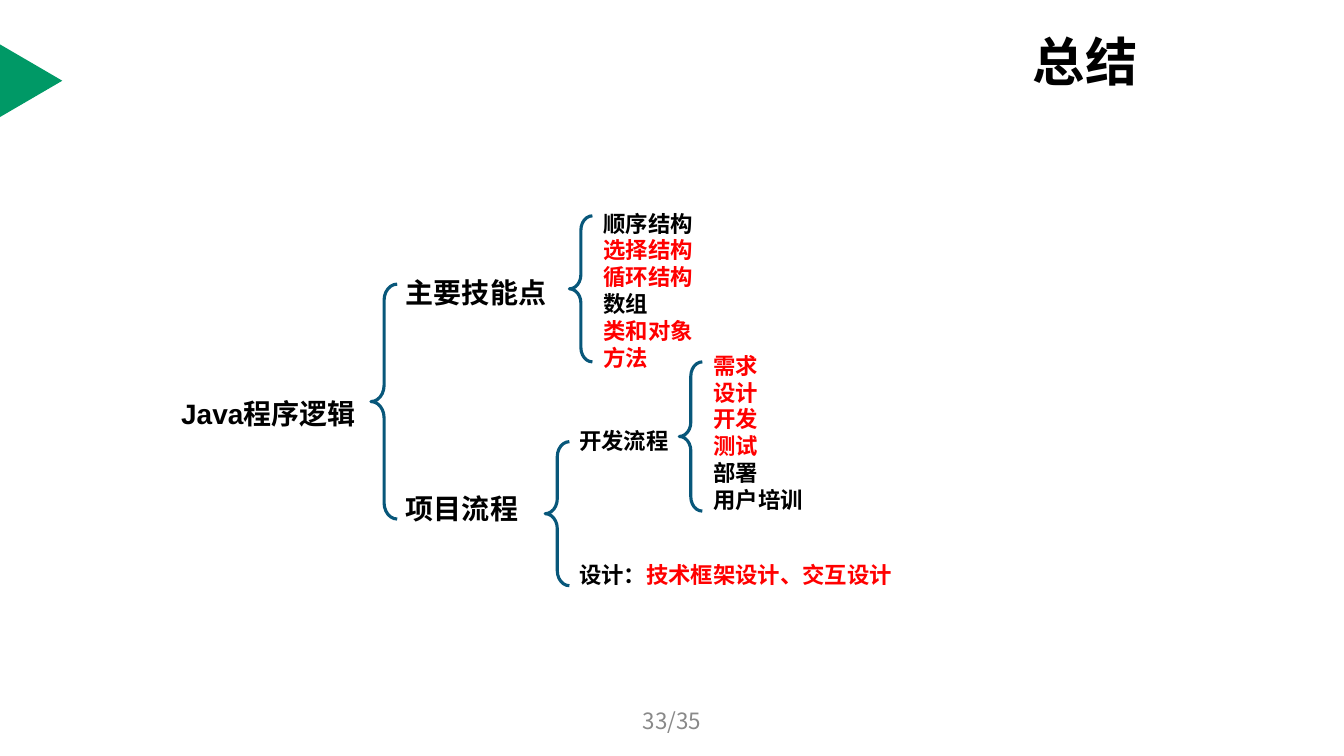
from lxml import etree
from pptx import Presentation
from pptx.dml.color import RGBColor
from pptx.enum.shapes import MSO_SHAPE
from pptx.enum.text import MSO_ANCHOR, MSO_AUTO_SIZE, PP_ALIGN
from pptx.oxml.ns import qn
from pptx.util import Cm, Pt

BLACK = RGBColor(0x00, 0x00, 0x00)
RED = RGBColor(0xFF, 0x00, 0x00)
GREEN = RGBColor(0x00, 0x99, 0x66)
BLUE = RGBColor(0x08, 0x57, 0x7A)
GREY = RGBColor(0x89, 0x89, 0x89)
LATIN_FONT, CHINESE_FONT = "Arial", "Noto Sans CJK SC"
LEFT, CENTER = PP_ALIGN.LEFT, PP_ALIGN.CENTER
TOP, MIDDLE = MSO_ANCHOR.TOP, MSO_ANCHOR.MIDDLE
FIT_SHAPE = MSO_AUTO_SIZE.SHAPE_TO_FIT_TEXT
TRIANGLE, LEFT_BRACE = MSO_SHAPE.ISOSCELES_TRIANGLE, MSO_SHAPE.LEFT_BRACE
LINE_HEIGHT = 1.2


class SlideBuilder:
    """Holds the style and the current slide; lengths are in centimetres."""

    def __init__(self, slide):
        self.slide = slide

    def shape(self, kind, box):
        shape = self.slide.shapes.add_shape(kind, *map(Cm, box))
        shape.shadow.inherit = False
        return shape

    def marker(self, box):
        triangle = self.shape(TRIANGLE, box)
        triangle.rotation = 90
        triangle.fill.solid()
        triangle.fill.fore_color.rgb = GREEN
        triangle.line.fill.background()

    def brace(self, box):
        brace = self.shape(LEFT_BRACE, box)
        brace.adjustments[0] = 0.62
        brace.fill.background()
        brace.line.color.rgb = BLUE
        brace.line.width = Pt(2.25)

    def text(self, box, paragraphs, size, font=LATIN_FONT, bold=True,
             align=LEFT, anchor=TOP, gap=0):
        """Each paragraph is a list of (wording, colour) runs."""
        text_box = self.slide.shapes.add_textbox(*map(Cm, box))
        frame = text_box.text_frame
        frame.word_wrap = True
        frame.vertical_anchor = anchor
        if anchor == TOP:
            frame.auto_size = FIT_SHAPE
        for index, runs in enumerate(paragraphs):
            paragraph = frame.add_paragraph() if index else frame.paragraphs[0]
            paragraph.alignment = align
            if anchor == TOP:
                paragraph.line_spacing = Pt(size * LINE_HEIGHT)
            if index and gap:
                paragraph.space_before = Pt(gap)
            for wording, colour in runs:
                run = paragraph.add_run()
                run.text = wording
                run.font.name = font
                run.font.size = Pt(size)
                run.font.bold = bold
                run.font.color.rgb = colour
                # Chinese characters use the East Asian font slot
                east_asian = etree.SubElement(run.font._element, qn("a:ea"))
                east_asian.set("typeface", font)


presentation = Presentation()
presentation.slide_width, presentation.slide_height = Cm(33.87), Cm(19.05)
builder = SlideBuilder(
    presentation.slides.add_slide(presentation.slide_layouts[6]))

# Title and page number
builder.marker((-0.13, 1.25, 1.83, 1.57))
builder.text((25.78, 0.79, 3.35, 1.45), [[("总结", BLACK)]], 37.4,
             font=CHINESE_FONT, anchor=MIDDLE)
builder.text((11.58, 17.65, 10.72, 1.02), [[("33/35", GREY)]], 16,
             font=CHINESE_FONT, bold=False, align=CENTER, anchor=MIDDLE)

# Root and its two branches
builder.text((4.24, 9.86, 5.05, 1.12), [[("Java程序逻辑", BLACK)]], 20,
             align=CENTER)
builder.text((9.98, 6.83, 13.92, 7.44),
             [[("主要技能点", BLACK)], [("项目流程", BLACK)]], 20, gap=129.6)

# Skills
builder.text((14.96, 5.16, 10.46, 4.37),
             [[("顺序结构", BLACK)], [("选择结构", RED)], [("循环结构", RED)],
              [("数组", BLACK)], [("类和对象", RED)], [("方法", RED)]], 16)

# Project process and its development steps
builder.text((14.35, 10.64, 10.46, 4.37),
             [[("开发流程", BLACK)],
              [("设计:".replace(":", "："), BLACK),
               ("技术框架设计、交互设计", RED)]], 16, gap=76.6)
builder.text((17.73, 8.74, 5.64, 4.37),
             [[("需求", RED)], [("设计", RED)], [("开发", RED)],
              [("测试", RED)], [("部署", BLACK)], [("用户培训", BLACK)]], 16)

# Braces: root, skills, process, development
for brace_box in [(9.35, 7.16, 0.66, 5.92), (14.35, 5.44, 0.58, 3.68),
                  (13.74, 11.13, 0.61, 3.63), (17.12, 9.12, 0.58, 3.76)]:
    builder.brace(brace_box)

presentation.save("out.pptx")
